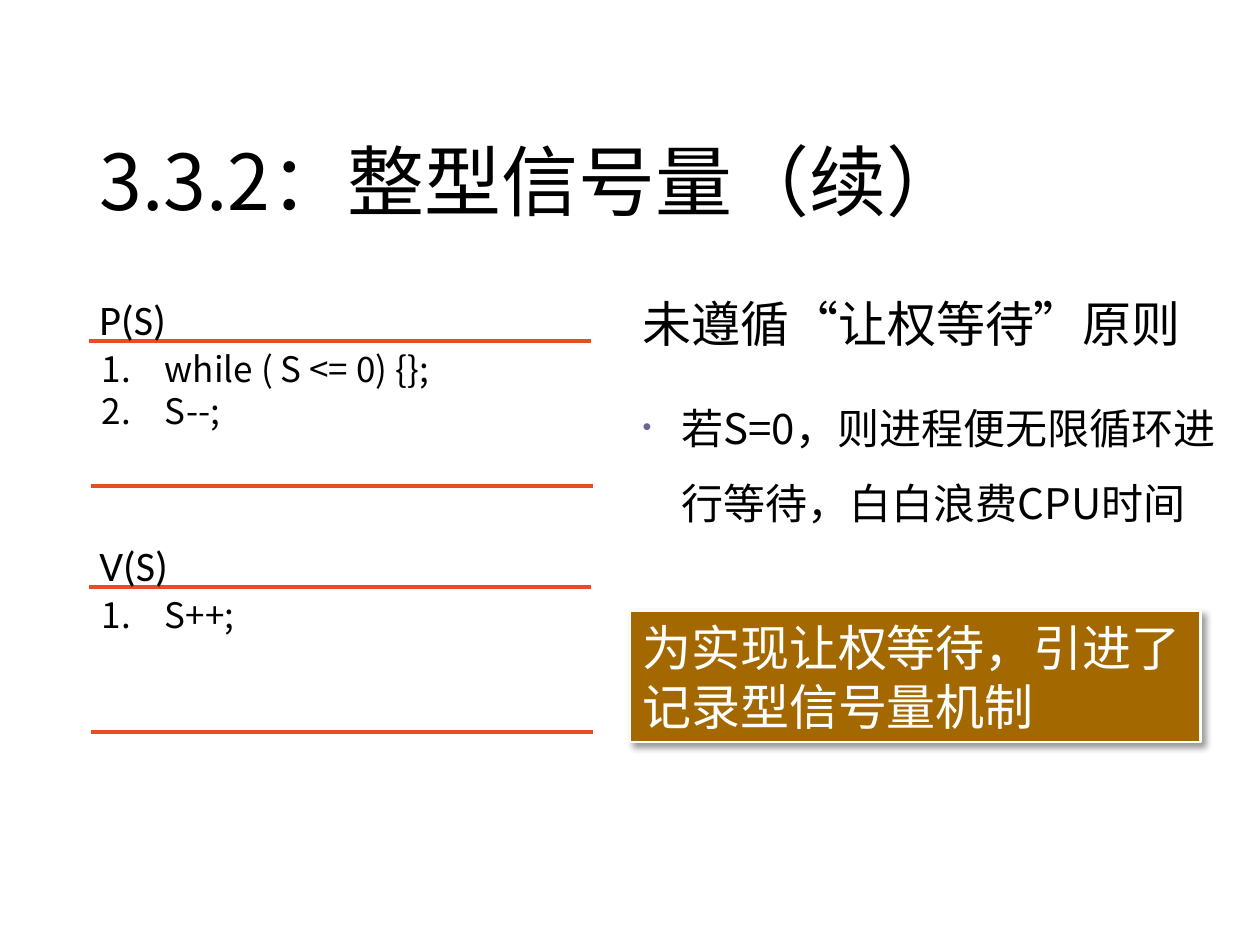
from dataclasses import dataclass

from lxml import etree
from pptx import Presentation
from pptx import util as u
from pptx.dml.color import RGBColor
from pptx.enum import shapes, text
from pptx.oxml import ns


@dataclass(frozen=True)
class Theme:
    font: str = "Noto Sans CJK SC"
    label: str = "Calibri"
    ink: str = "000000"
    paper: str = "FFFFFF"
    rule: str = "E84C22"
    dot: str = "666699"
    note: str = "A36900"
    title: int = 44
    lead: int = 28
    body: int = 24
    code: int = 20


T = Theme()


def rgb(code):
    return RGBColor.from_string(code)


def add(node, tag, **vals):
    """Append one DrawingML element to node."""
    return etree.SubElement(node, ns.qn(tag), {k: str(v) for k, v in vals.items()})


def place(shape, left, top, width, height):
    for name, val in dict(left=left, top=top, width=width, height=height).items():
        setattr(shape, name, u.Inches(val))


def frame(shape, anchor=text.MSO_ANCHOR.TOP):
    body = shape.text_frame
    vals = dict(word_wrap=True, auto_size=text.MSO_AUTO_SIZE.NONE,
                vertical_anchor=anchor)
    for name, val in vals.items():
        setattr(body, name, val)
    return body


def write(para, words, size, color=T.ink, font=T.font, **form):
    base = dict(alignment=text.PP_ALIGN.LEFT, space_before=u.Pt(0))
    for name, val in {**base, **form}.items():
        setattr(para, name, val)
    run = para.add_run()
    run.text = words
    for name, val in dict(name=font, size=u.Pt(size)).items():
        setattr(run.font, name, val)
    run.font.color.rgb = rgb(color)
    add(run.font._element, "a:ea", typeface=T.font)


def indent(para, size):
    props = para._p.get_or_add_pPr()
    props.set("marL", str(u.Inches(size)))
    props.set("indent", str(u.Inches(-size)))
    return props


def panel(parent, box, fill):
    rect = parent.add_shape(shapes.MSO_SHAPE.RECTANGLE, *map(u.Inches, box))
    rect.shadow.inherit = False
    rect.fill.solid()
    rect.fill.fore_color.rgb = rgb(fill)
    return rect


def rule(parent, left, top, width):
    line = parent.add_connector(shapes.MSO_CONNECTOR.STRAIGHT, *map(
        u.Inches, (left, top, left + width, top)))
    line.line.color.rgb = rgb(T.rule)
    line.line.width = u.Pt(2.25)
    add(line._element.spPr, "a:effectLst")


def heading(shape, box, words):
    place(shape, *box)
    para = frame(shape, text.MSO_ANCHOR.BOTTOM).paragraphs[0]
    write(para, words, T.title, line_spacing=0.9)


def listing(slide, box, name, steps):
    """Operation name above numbered code between two rules."""
    left, top, width, height = box
    head = 0.43
    group = slide.shapes.add_group_shape().shapes
    code = panel(group, (left + 0.02, top + head, width - 0.01, height - head), T.paper)
    code.line.fill.background()
    body = frame(code)
    for i, step in enumerate(steps):
        para = body.add_paragraph() if i else body.paragraphs[0]
        add(indent(para, 0.5), "a:buAutoNum", type="arabicPeriod")
        write(para, step, T.code)
    rule(group, left + 0.02, top + head, width - 0.04)
    rule(group, left + 0.03, top + height, width - 0.03)
    label = group.add_textbox(*map(u.Inches, (left, top, 3.85, 0.5)))
    write(frame(label).paragraphs[0], name, T.body, font=T.label)


def points(shape, box, lead, point):
    place(shape, *box)
    body = frame(shape)
    para = body.paragraphs[0]
    add(indent(para, 0), "a:buNone")
    write(para, lead, T.lead, space_after=u.Pt(T.lead / 2))
    para = body.add_paragraph()
    props = indent(para, 0.31)
    add(add(props, "a:buClr"), "a:srgbClr", val=T.dot)
    add(props, "a:buSzPct", val=60000)
    add(props, "a:buFont", typeface="Arial")
    add(props, "a:buChar", char="•")
    write(para, point, T.body, line_spacing=1.5, space_after=u.Pt(T.body / 2))


def callout(slide, box, words):
    rect = panel(slide.shapes, box, T.note)
    rect.line.color.rgb = rgb(T.paper)
    rect.line.width = u.Pt(1.5)
    cast = add(rect._element.spPr.find(ns.qn("a:effectLst")), "a:outerShdw",
               blurRad=u.Pt(4), dist=u.Pt(3), dir=45 * 60000,
               algn="tl", rotWithShape=0)
    add(add(cast, "a:srgbClr", val=T.ink), "a:alpha", val=40000)
    write(frame(rect).paragraphs[0], words, T.lead, T.paper)


def main():
    deck = Presentation()
    deck.slide_width, deck.slide_height = u.Inches(10), u.Inches(7.5)
    slide = deck.slides.add_slide(deck.slide_layouts[1])
    heading(slide.shapes.title, (0.69, 0.4, 8.62, 1.45), "3.3.2：整型信号量（续）")
    blocks = [("P(S)", ["while ( S <= 0) {};", "S--;"]), ("V(S)", ["S++;"])]
    for i, (name, steps) in enumerate(blocks):
        listing(slide, (0.69, 2.28 + 1.95 * i, 4.02, 1.58), name, steps)
    points(slide.placeholders[1], (5, 2.28, 5, 2.02), "未遵循“让权等待”原则",
           "若S=0，则进程便无限循环进行等待，白白浪费CPU时间")
    callout(slide, (5, 4.85, 4.53, 1.04), "为实现让权等待，引进了记录型信号量机制")
    deck.save("out.pptx")


if __name__ == "__main__":
    main()
